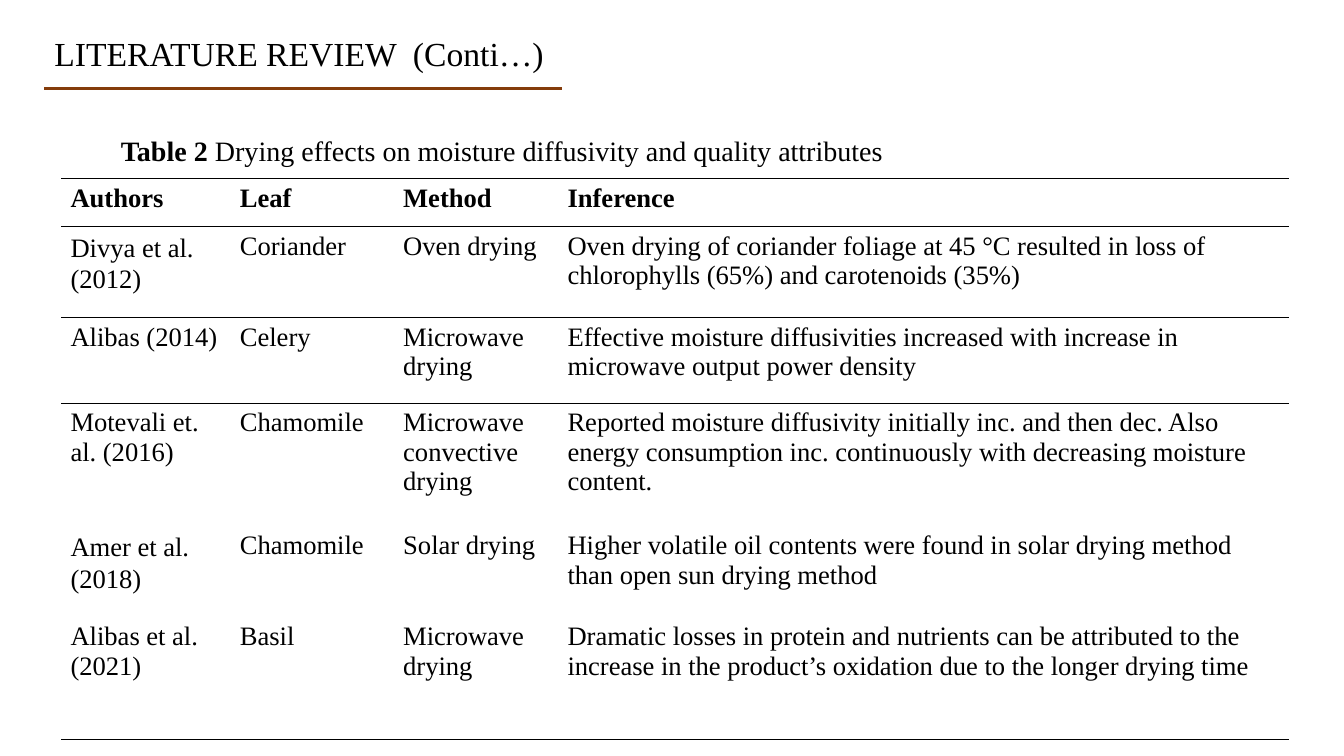
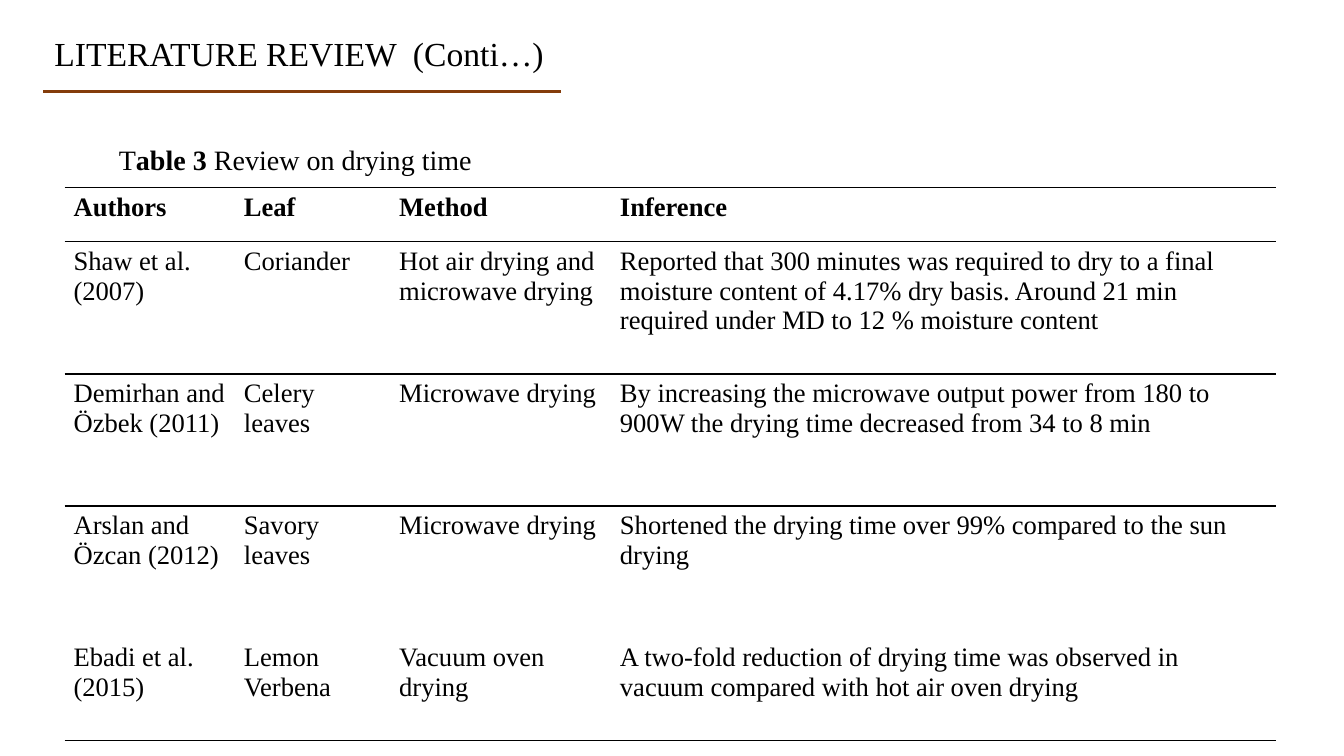
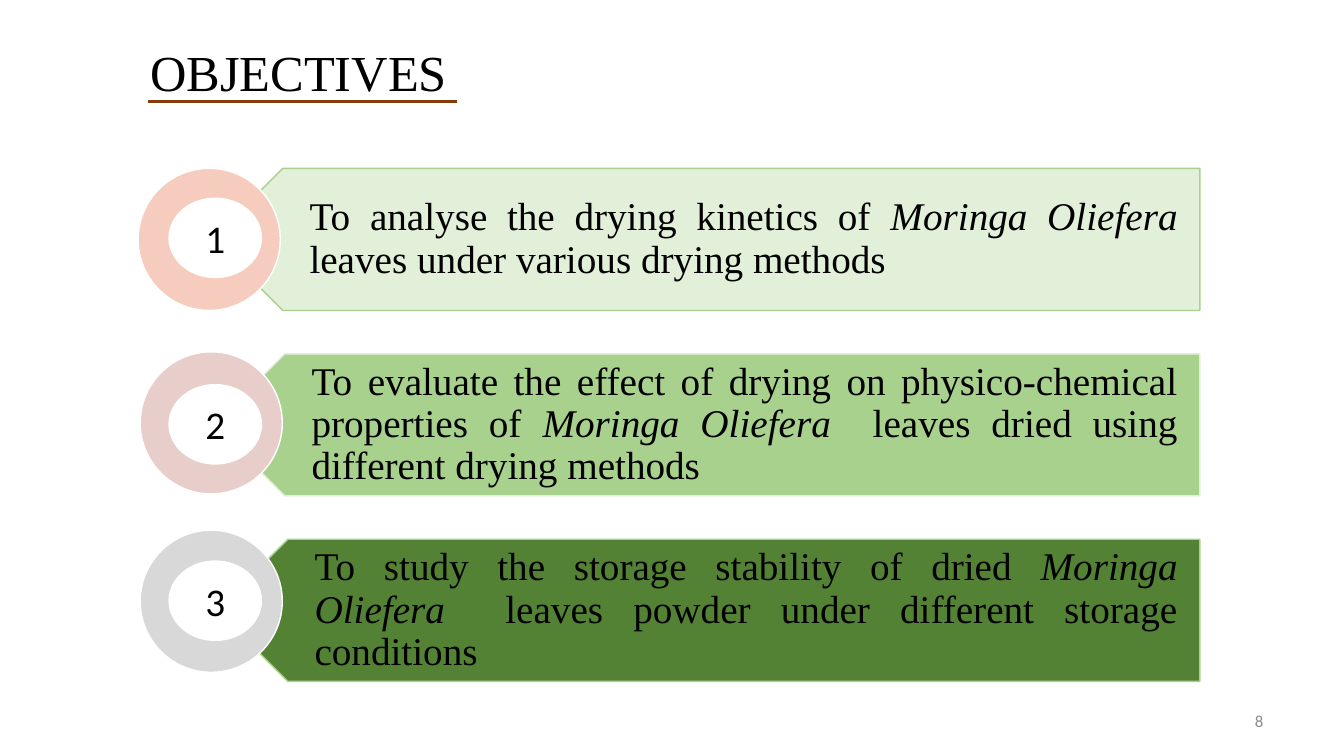
from dataclasses import dataclass

from lxml.etree import SubElement
from pptx import Presentation
from pptx.dml.color import RGBColor
from pptx.enum.shapes import MSO_CONNECTOR, MSO_SHAPE
from pptx.enum.text import MSO_ANCHOR, MSO_AUTO_SIZE, PP_ALIGN
from pptx.oxml import parse_xml
from pptx.oxml.ns import nsdecls, qn
from pptx.util import Pt

SCALE = 9144  # EMU in one px, 100 px to the inch
PLAIN_GRID = "{2D5ABB26-0587-4C30-8999-92F81FD0307C}"


@dataclass(frozen=True)
class Theme:
    serif: str = "Times New Roman"
    sans: str = "Calibri"
    ink: str = "000000"
    paper: str = "FFFFFF"
    rule: str = "843C0B"
    grey: str = "8C8C8C"
    pale: str = "E2F0D9"
    leaf: str = "A9D18E"
    moss: str = "548235"
    rings: tuple = ("F6CCBE", "E8CECB", "D8D8D8")
    title: int = 24
    head: int = 36
    cell: int = 19
    label: int = 20
    body: int = 28
    page: int = 12


def px(*sizes):
    return [size * SCALE for size in sizes]


def rgb(code):
    return RGBColor.from_string(code)


class Deck:
    def __init__(self, theme):
        self.theme = theme
        self.show = Presentation()
        self.show.slide_width, self.show.slide_height = px(1333, 750)
        self.slide = None

    def put(self, frame, text, size, font=None, color=None, align=PP_ALIGN.LEFT, space=None):
        """Fill a frame with a string, or with (text, mark) parts; mark is "", "b" or "i"."""
        para = frame.paragraphs[0]
        parts = [(text, "")] if isinstance(text, str) else text
        para.text = parts[0][0]
        for words, _ in parts[1:]:
            para.add_run().text = words
        para.alignment = align
        if space:
            para.line_spacing = space
        for run, (_, mark) in zip(para.runs, parts):
            face = run.font
            face.name = font or self.theme.serif
            face.size = Pt(size)
            face.bold = mark == "b"
            face.italic = mark == "i"
            face.color.rgb = rgb(color or self.theme.ink)

    def page(self, title, size, box, line, number, right=1242):
        """Start a slide with its title, the rule under it and its number."""
        self.slide = self.show.slides.add_slide(self.show.slide_layouts[5])
        head = self.slide.shapes.title
        head.left, head.top, head.width, head.height = px(*box)
        frame = head.text_frame
        frame.auto_size = MSO_AUTO_SIZE.NONE
        frame.vertical_anchor = MSO_ANCHOR.MIDDLE
        self.put(frame, title, size, space=0.9)
        self.line(*line)
        self.text((right - 300, 695, 300, 40), str(number), self.theme.page, MSO_ANCHOR.MIDDLE,
                  font=self.theme.sans, color=self.theme.grey, align=PP_ALIGN.RIGHT)

    def line(self, left, top, width):
        rule = self.slide.shapes.add_connector(
            MSO_CONNECTOR.STRAIGHT, *px(left, top, left + width, top))
        rule.line.color.rgb = rgb(self.theme.rule)
        rule.line.width = Pt(2.25)
        SubElement(rule.element.spPr, qn("a:effectLst"))

    def text(self, box, text, size, anchor=MSO_ANCHOR.TOP, inset=(10, 5, 10, 5), **style):
        frame = self.slide.shapes.add_textbox(*px(*box)).text_frame
        frame.word_wrap = True
        frame.vertical_anchor = anchor
        (frame.margin_left, frame.margin_top,
         frame.margin_right, frame.margin_bottom) = px(*inset)
        self.put(frame, text, size, **style)

    def shape(self, kind, box, fill, edge=None):
        item = self.slide.shapes.add_shape(kind, *px(*box))
        item.shadow.inherit = False
        item.fill.solid()
        item.fill.fore_color.rgb = rgb(fill)
        if edge:
            item.line.color.rgb = rgb(edge)
            item.line.width = Pt(1)
        else:
            item.line.fill.background()
        return item

    def border(self, props, sides):
        """Add the named sides, "T" or "B", to the properties of a cell."""
        for spot, side in enumerate(sides):
            props.insert(spot, parse_xml(
                f'<a:ln{side} {nsdecls("a")} w="12700"><a:solidFill>'
                f'<a:srgbClr val="{self.theme.ink}"/></a:solidFill></a:ln{side}>'))

    def table(self, left, top, cols, rows, data, loose=()):
        """Draw a ruled table; loose rows have a wider first cell spacing."""
        item = self.slide.shapes.add_table(
            len(rows), len(cols), *px(left, top, sum(cols), sum(rows)))
        grid = item.table
        grid.first_row = grid.horz_banding = False
        for style in item.element.iter(qn("a:tableStyleId")):
            style.text = PLAIN_GRID
        for col, width in zip(grid.columns, px(*cols)):
            col.width = width
        for row, height in zip(grid.rows, px(*rows)):
            row.height = height
        for r, words in enumerate(data):
            for c, word in enumerate(words):
                cell = grid.cell(r, c)
                cell.margin_left, cell.margin_right = px(9, 9)
                cell.fill.solid()
                cell.fill.fore_color.rgb = rgb(self.theme.paper)
                space = 1.07 if c == 0 and r in loose else None
                self.put(cell.text_frame, [(word, "" if r else "b")],
                         self.theme.cell, space=space)
        sides = {0: "TB", 1: "TB", 2: "T", len(rows) - 1: "B"}
        for spot, props in enumerate(list(item.element.iter(qn("a:tcPr")))):
            self.border(props, sides.get(spot // len(cols), ""))

    def goal(self, number, left, top, ring, disc, colors, text):
        """Draw a numbered ring before an arrow band with its text."""
        theme, right, size = self.theme, 1190, 141
        fill, edge, tint = colors
        band = self.shape(MSO_SHAPE.PENTAGON, (left, top, right - left, size), fill, edge)
        band.rotation = 180
        start = left + 35
        self.text((start, top, right - start, size), text, theme.body, MSO_ANCHOR.MIDDLE,
                  (62, 12, 22, 12), align=PP_ALIGN.JUSTIFY, space=0.9)
        self.shape(MSO_SHAPE.OVAL, (*ring, size, size), tint, theme.paper)
        dot = self.shape(MSO_SHAPE.OVAL, (167, disc, 93, 80), theme.paper)
        dot.text_frame.vertical_anchor = MSO_ANCHOR.MIDDLE
        self.put(dot.text_frame, str(number), theme.body, theme.sans, align=PP_ALIGN.CENTER)


HEADER = ("Authors", "Leaf", "Method", "Inference")
EFFECTS = (
    HEADER,
    ("Divya et al. (2012)", "Coriander", "Oven drying",
     "Oven drying of coriander foliage at 45 °C resulted in loss of chlorophylls (65%) "
     "and carotenoids (35%)"),
    ("Alibas (2014)", "Celery", "Microwave drying",
     "Effective moisture diffusivities increased with increase in microwave output power density"),
    ("Motevali et. al. (2016)", "Chamomile", "Microwave convective drying",
     "Reported moisture diffusivity initially inc. and then dec. Also energy consumption inc. "
     "continuously with decreasing moisture content."),
    ("Amer et al. (2018)", "Chamomile", "Solar drying",
     "Higher volatile oil contents were found in solar drying method than open sun drying method"),
    ("Alibas et al. (2021)", "Basil", "Microwave drying",
     "Dramatic losses in protein and nutrients can be attributed to the increase in the "
     "product’s oxidation due to the longer drying time"),
)
TIMES = (
    HEADER,
    ("Shaw et al. (2007)", "Coriander", "Hot air drying and microwave drying",
     "Reported that 300 minutes was required to dry to a final moisture content of 4.17% "
     "dry basis. Around 21 min required under MD to 12 % moisture content"),
    ("Demirhan and Özbek (2011)", "Celery leaves", "Microwave drying",
     "By increasing the microwave output power from 180 to 900W the drying time decreased "
     "from 34 to 8 min"),
    ("Arslan and Özcan (2012)", "Savory leaves", "Microwave drying",
     "Shortened the drying time over 99% compared to the sun drying"),
    ("Ebadi et al. (2015)", "Lemon Verbena", "Vacuum oven drying",
     "A two-fold reduction of drying time was observed in vacuum compared with hot air "
     "oven drying"),
)
PLANT = ("Moringa Oliefera ", "i")
GOALS = (
    (210, (137, 167), 196, "To analyse the drying kinetics of ",
     "leaves under various drying methods"),
    (212, (139, 349), 381, "To evaluate the effect of drying on physico-chemical properties of ",
     " leaves dried using different drying methods"),
    (215, (139, 526), 556, "To study the storage stability of dried ",
     " leaves powder under different storage conditions"),
)
REVIEW = "LITERATURE REVIEW  (Conti…)"
REVIEW_BOX = (44, -18, 727, 146)


def main():
    theme = Theme()
    deck = Deck(theme)

    deck.page(REVIEW, theme.title, REVIEW_BOX, (44, 88, 513), 5)
    deck.table(61, 177, (168, 162, 163, 725), (48, 90, 85, 122, 90, 122), EFFECTS, loose=(1, 4))
    deck.text((110, 128, 869, 44), [
        ("Table 2 ", "b"),
        ("Drying effects on moisture diffusivity and quality attributes", "")], theme.label)

    deck.page(REVIEW, theme.title, REVIEW_BOX, (43, 91, 513), 6)
    deck.table(64, 186, (169, 154, 219, 660), (54, 131, 131, 131, 102), TIMES)
    deck.text((108, 136, 461, 44), [
        ("T", ""), ("able 3 ", "b"), ("Review on drying time", "")], theme.label)

    deck.page("OBJECTIVES", theme.head, (139, 37, 408, 75), (147, 101, 306), 8, right=1263)
    fills = (theme.pale, theme.leaf, theme.moss)
    edges = (theme.leaf, theme.pale, theme.leaf)
    bands = zip(GOALS, zip(fills, edges, theme.rings))
    for step, ((left, ring, disc, start, end), colors) in enumerate(bands):
        deck.goal(step + 1, left, 167 + 184 * step, ring, disc, colors,
                  [(start, ""), PLANT, (end, "")])

    deck.show.save("out.pptx")


if __name__ == "__main__":
    main()
